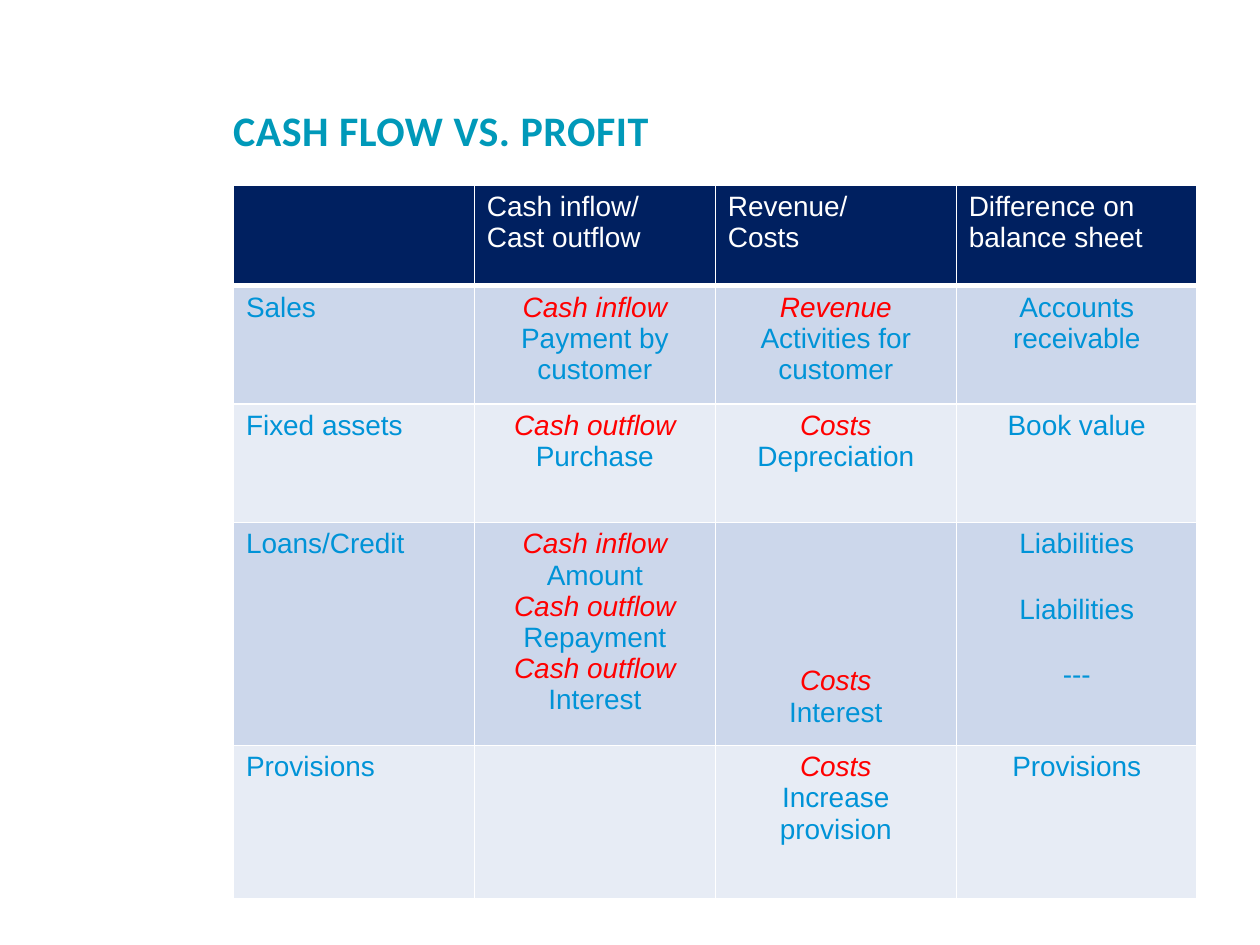
"""Build a slide with a table that compares cash flow and profit."""
from lxml import etree
from pptx import Presentation
from pptx.dml.color import RGBColor
from pptx.enum.text import MSO_ANCHOR, PP_ALIGN
from pptx.oxml.ns import qn
from pptx.util import Pt

LEFT, CENTER = PP_ALIGN.LEFT, PP_ALIGN.CENTER
TOP, BOTTOM = MSO_ANCHOR.TOP, MSO_ANCHOR.BOTTOM
COLORS = {
    "title": "0099B9",
    "header": "002060",
    "odd": "CCD7EB",
    "even": "E7ECF5",
    "text": "0093D7",
    "accent": "FF0000",
    "white": "FFFFFF",
}
ACCENTS = {"Cash inflow", "Cash outflow", "Revenue", "Costs"}
ROWS = [
    ["", "Cash inflow/\nCast outflow", "Revenue/\nCosts", "Difference on balance sheet"],
    ["Sales", "Cash inflow\nPayment by customer", "Revenue\nActivities for customer",
     "Accounts receivable"],
    ["Fixed assets", "Cash outflow\nPurchase", "Costs\nDepreciation", "Book value"],
    ["Loans/Credit",
     "Cash inflow\nAmount\nCash outflow\nRepayment\nCash outflow\nInterest",
     "Costs\nInterest", "Liabilities\nLiabilities\n---"],
    ["Provisions", "", "Costs\nIncrease provision", "Provisions"],
]
HEIGHTS = [57.4, 67.7, 67.7, 127.4, 87.8]
LOANS, REVENUE, DIFFERENCE = 3, 2, 3


def add_text(p, text, size=16, font="Arial", color="text", bold=False, italic=False,
             align=LEFT):
    p.alignment = align
    r = p.add_run()
    r.text = text
    r.font.size = Pt(size)
    r.font.name = font
    r.font.bold = bold
    r.font.italic = italic
    r.font.color.rgb = RGBColor.from_string(COLORS[color])
    return r


prs = Presentation()
prs.slide_width, prs.slide_height = Pt(720), Pt(540)
s = prs.slides.add_slide(prs.slide_layouts[5])

title = s.shapes.title
title.left, title.top, title.width, title.height = Pt(133.2), Pt(45.4), Pt(566.6), Pt(43.2)
tf = title.text_frame
tf.margin_left = tf.margin_right = tf.margin_top = tf.margin_bottom = 0
tf.vertical_anchor = TOP
p = tf.paragraphs[0]
p.line_spacing = Pt(43)
r = add_text(p, "CASH FLOW VS. PROFIT", size=24, font="Calibri", color="title", bold=True)
r.font._element.set("spc", "30")

table = s.shapes.add_table(len(ROWS), len(ROWS[0]), Pt(133.4), Pt(105.8),
                           Pt(550.8), Pt(sum(HEIGHTS))).table
for column in table.columns:
    column.width = Pt(137.7)

for i, (row, height) in enumerate(zip(ROWS, HEIGHTS)):
    table.rows[i].height = Pt(height)
    for j, text in enumerate(row):
        cell = table.cell(i, j)
        tcPr = cell._tc.get_or_add_tcPr()
        for side in ("L", "R", "T", "B"):
            heavy = (i, side) in ((0, "B"), (1, "T"))
            ln = etree.SubElement(tcPr, qn(f"a:ln{side}"), w=str(Pt(3 if heavy else 1)))
            fill = etree.SubElement(ln, qn("a:solidFill"))
            etree.SubElement(fill, qn("a:srgbClr"), val=COLORS["white"])
        cell.fill.solid()
        band = "header" if i == 0 else "odd" if i % 2 else "even"
        cell.fill.fore_color.rgb = RGBColor.from_string(COLORS[band])
        if (i, j) == (LOANS, REVENUE):
            cell.vertical_anchor = BOTTOM
            cell.margin_bottom = Pt(10)
        if not text:
            continue
        tf = cell.text_frame
        for n, line in enumerate(text.split("\n")):
            p = tf.add_paragraph() if n else tf.paragraphs[0]
            if n and (i, j) == (LOANS, DIFFERENCE):
                p.space_before = Pt(19.5)
            accent = i > 0 and line in ACCENTS
            color = "white" if i == 0 else "accent" if accent else "text"
            add_text(p, line, color=color, italic=accent,
                     align=CENTER if i and j else LEFT)

prs.save("out.pptx")
